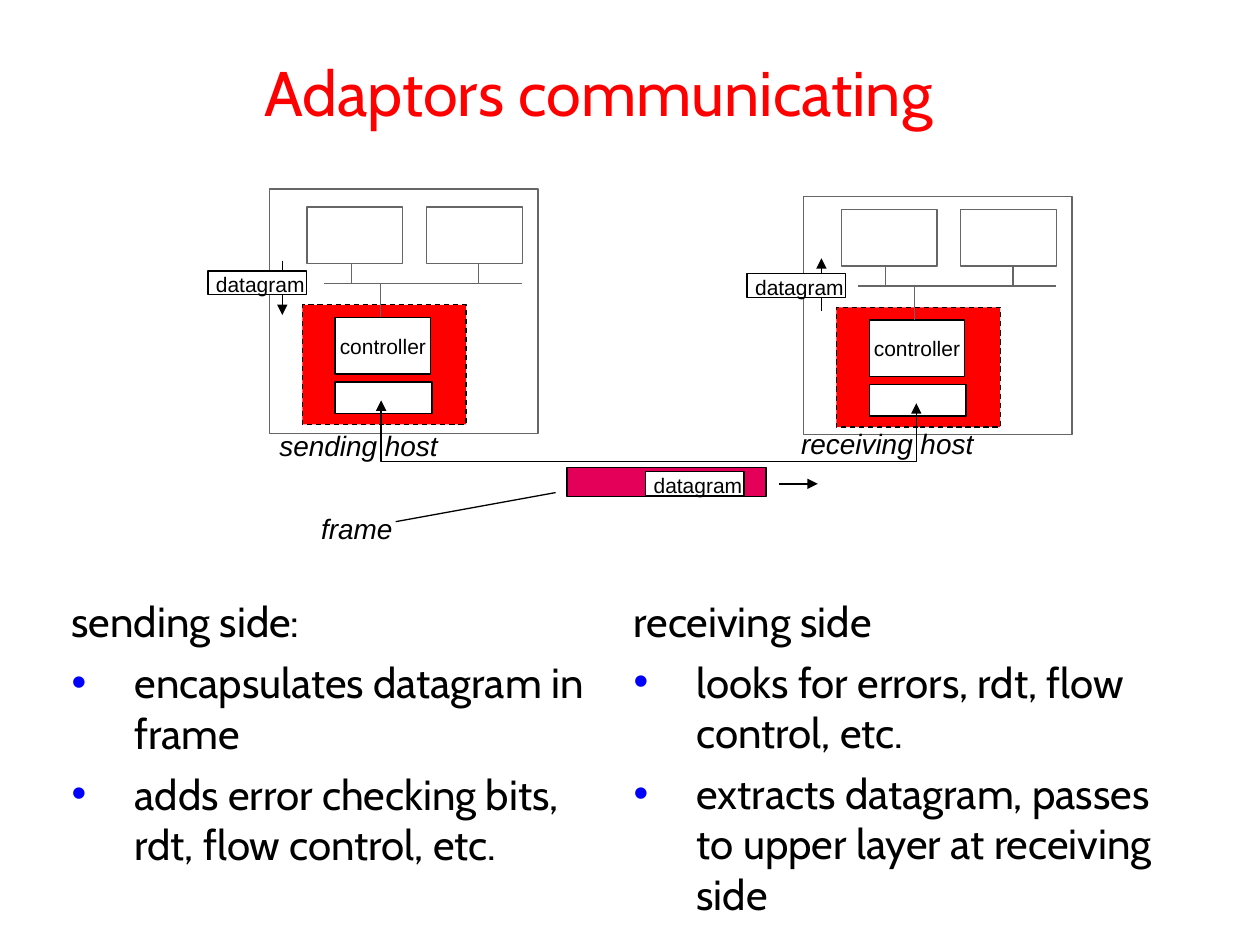
from pptx import Presentation
from pptx.dml.color import RGBColor
from pptx.enum.dml import MSO_LINE
from pptx.enum.shapes import MSO_CONNECTOR, MSO_SHAPE
from pptx.enum.text import MSO_ANCHOR, MSO_AUTO_SIZE, PP_ALIGN
from pptx.oxml.ns import qn
from pptx.util import Pt
from lxml.etree import SubElement

BLACK, GREY, WHITE, RED, PINK, BLUE = (
    "000000", "666666", "FFFFFF", "FF0000", "E40059", "0000FF")

TITLE = "Adaptors communicating"
SIDES = [
    ((33.8, 337, 320.4, 152.6), "sending side:", [
        "encapsulates datagram in frame",
        "adds error checking bits, rdt, flow control, etc."]),
    ((355, 336.6, 321.8, 145.4), "receiving side", [
        "looks for errors, rdt, flow control, etc.",
        "extracts datagram, passes to upper layer at receiving side"]),
]
HOSTS = [
    {"case": (154, 108, 153.4, 139.7), "shift": (0, 0),
     "flow": (161.3, 149, 161.3, 180), "tag": (118.8, 154.8)},
    {"case": (459.2, 112.3, 153.4, 136.1), "shift": (305.2, 1.5),
     "flow": (469.4, 177.8, 469.4, 147.6), "tag": (426.9, 156.4)},
]
UNIT = (54.7, 32.4)
LABELS = [
    ("sending host", (152.6, 241.2, 105.1, 26.6)),
    ("receiving host", (450.7, 240.5, 113, 26.6)),
    ("frame", (176.4, 288.7, 55.4, 26.6)),
]
CABLE = [(217.8, 228.8), (217.8, 263.7), (523.6, 263.7), (523.6, 230.4)]


def hue(text):
    return RGBColor.from_string(text)


def place(box):
    return [Pt(v) for v in box]


def font(par, size, face, color=BLACK, slant=False):
    for run in par.runs:
        run.font.size = Pt(size)
        run.font.name = face
        run.font.color.rgb = hue(color)
        run.font.italic = slant


def stroke(item, color, *ends):
    item.line.color.rgb = hue(color)
    item.line.width = Pt(0.75)
    for end in ends:
        SubElement(item.line._get_or_add_ln(), qn("a:" + end), type="triangle")


def rect(slide, box, fill=WHITE, line=BLACK):
    item = slide.shapes.add_shape(MSO_SHAPE.RECTANGLE, *place(box))
    item.shadow.inherit = False
    item.fill.solid()
    item.fill.fore_color.rgb = hue(fill)
    stroke(item, line)
    return item


def wire(slide, ends, color=BLACK, *tips):
    item = slide.shapes.add_connector(MSO_CONNECTOR.STRAIGHT, *place(ends))
    stroke(item, color, *tips)
    SubElement(item._element.spPr, qn("a:effectLst"))


def label(slide, text, box, size, slant=False):
    frame = slide.shapes.add_textbox(*place(box)).text_frame
    frame.text = text
    frame.word_wrap = False
    frame.auto_size = MSO_AUTO_SIZE.SHAPE_TO_FIT_TEXT
    font(frame.paragraphs[0], size, "Arial", slant=slant)


def tag(slide, x, y):
    rect(slide, (x, y, 56.2, 13.7))
    label(slide, "datagram", (x - 2.5, y - 3.2, 68, 21.6), 12)


def host(slide, case, shift, flow, tag):
    dx, dy = shift

    def at(x, y, *size):
        return (x + dx, y + dy, *size)

    def link(x1, y1, x2, y2):
        wire(slide, at(x1, y1) + at(x2, y2), GREY)

    rect(slide, case, line=GREY)
    card = rect(slide, at(172.8, 174.2, 93.6, 68.4), RED)
    card.line.dash_style = MSO_LINE.DASH
    rect(slide, at(191.5, 218.2, 55.4, 18))
    chip = rect(slide, at(191.5, 181.4, *UNIT)).text_frame
    chip.text = "controller"
    chip.word_wrap = False
    chip.vertical_anchor = MSO_ANCHOR.MIDDLE
    chip.paragraphs[0].alignment = PP_ALIGN.CENTER
    font(chip.paragraphs[0], 12, "Arial")
    link(185, 162, 298.1, 162)
    link(217.4, 181.4, 217.4, 162.5)
    for left, drop in [(175.5, 200.9), (243.8, 273.6)]:
        rect(slide, at(left, 118.2, *UNIT), line=GREY)
        link(drop, 162, drop, 151)
    wire(slide, flow, BLACK, "tailEnd")


def side(slide, box, head, items):
    frame = slide.shapes.add_textbox(*place(box)).text_frame
    frame.word_wrap = True
    frame.text = "\n".join([head, *items])
    for par in frame.paragraphs:
        font(par, 24, "Cabin")
    for par in frame.paragraphs[1:]:
        par.space_before = Pt(6)
        props = par._p.get_or_add_pPr()
        props.set("marL", str(Pt(36)))
        props.set("indent", str(-Pt(36)))
        SubElement(SubElement(props, qn("a:buClr")), qn("a:srgbClr"), val=BLUE)
        SubElement(props, qn("a:buFont"), typeface="Arial")
        SubElement(props, qn("a:buChar"), char="•")


def main():
    deck = Presentation()
    deck.slide_width, deck.slide_height = Pt(720), Pt(540)
    slide = deck.slides.add_slide(deck.slide_layouts[5])
    title = slide.shapes.title
    title.left, title.top, title.width, title.height = place((36, 7.2, 612, 90))
    title.text_frame.text = TITLE
    title.text_frame.vertical_anchor = MSO_ANCHOR.MIDDLE
    title.text_frame.paragraphs[0].alignment = PP_ALIGN.CENTER
    font(title.text_frame.paragraphs[0], 36, "Cabin", RED)

    for part in SIDES:
        side(slide, *part)
    rect(slide, (324, 267.1, 113.8, 16.8), PINK)
    for part in HOSTS:
        host(slide, **part)
    for text, box in LABELS:
        label(slide, text, box, 16, True)
    for part in HOSTS:
        tag(slide, *part["tag"])

    pen = slide.shapes.build_freeform(*place(CABLE[0]))
    pen.add_line_segments([place(p) for p in CABLE[1:]], close=False)
    cable = pen.convert_to_shape()
    cable.shadow.inherit = False
    cable.fill.background()
    stroke(cable, BLACK, "headEnd", "tailEnd")

    tag(slide, 368.9, 269.5)
    wire(slide, (445, 276.5, 467.3, 276.5), BLACK, "tailEnd")
    wire(slide, (226.1, 298.1, 317.5, 281.5))
    deck.save("out.pptx")


if __name__ == "__main__":
    main()
